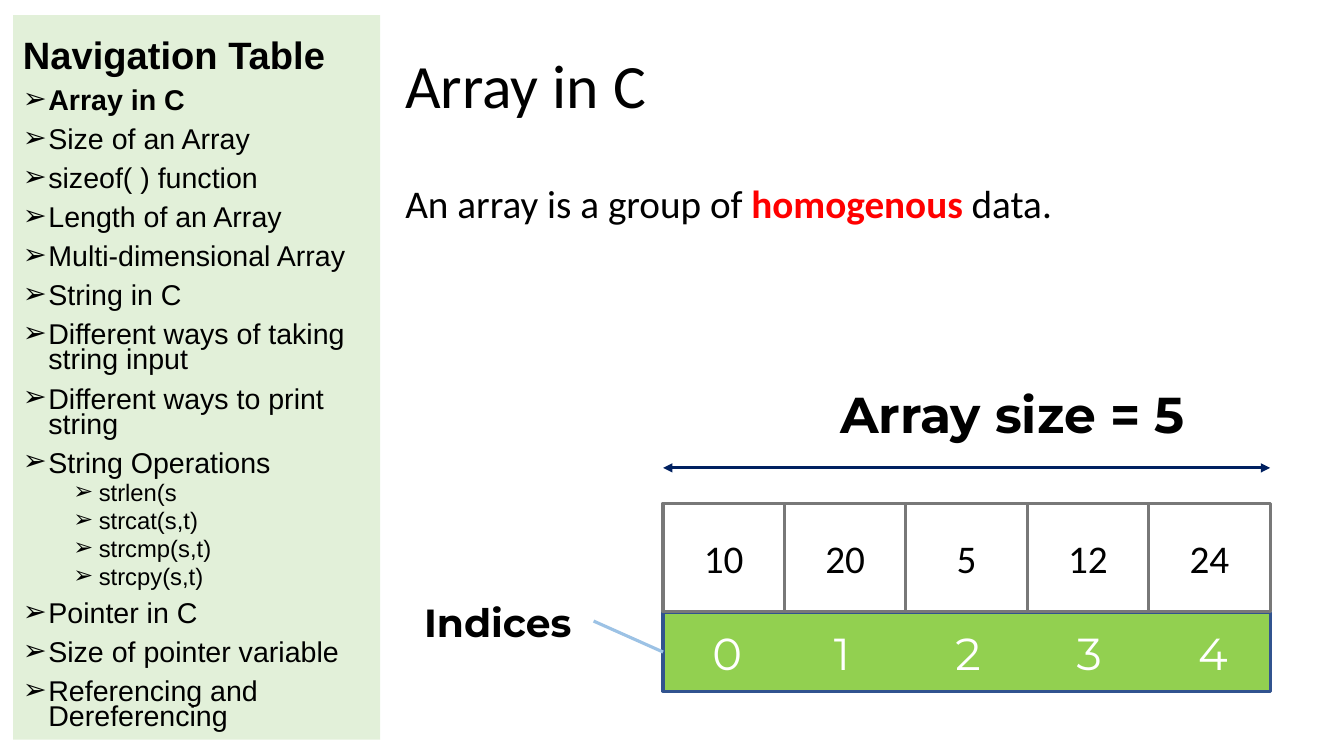
from lxml import etree
from pptx import Presentation
from pptx.dml.color import RGBColor
from pptx.enum import shapes, text
from pptx.oxml.ns import qn
from pptx.util import Cm, Pt

# Content
TITLE = "Array in C"
SENTENCE = [("An array is a group of ", {}),
            ("homogenous ", {"bold": True, "color": "red"}),
            ("data.", {})]
NAV_TITLE = "Navigation Table"
NAV_ITEMS = [  # (level, text)
    (0, "Array in C"), (0, "Size of an Array"), (0, "sizeof( ) function"),
    (0, "Length of an Array"), (0, "Multi-dimensional Array"),
    (0, "String in C"), (0, "Different ways of taking string input"),
    (0, "Different ways to print string"), (0, "String Operations"),
    (1, "strlen(s"), (1, "strcat(s,t)"), (1, "strcmp(s,t)"),
    (1, "strcpy(s,t)"), (0, "Pointer in C"), (0, "Size of pointer variable"),
    (0, "Referencing and Dereferencing"),
]
CURRENT = "Array in C"
VALUES = [10, 20, 5, 12, 24]
SIZE_LABEL = f"Array size = {len(VALUES)}"
INDEX_LABEL = "Indices"

COLORS = {"black": "000000", "white": "FFFFFF", "red": "FF0000",
          "panel": "E2F0D9", "green": "92D050", "blue": "31538F",
          "gray": "787878", "navy": "002060", "sky": "9CC2E5"}

# Text formats
BODY = {"name": "Calibri", "size": Pt(28), "bold": False, "color": "black"}
HEADING = {**BODY, "size": Pt(44)}
LABEL = {"name": "Montserrat", "size": Pt(28), "bold": True, "color": "black"}
INDEX = {**LABEL, "size": Pt(32), "bold": False, "color": "white"}
NAV_HEAD = {"name": "Arial", "size": Pt(27.2), "bold": True, "color": "black"}
NAV_LEVELS = [  # font size, space before, left indent in cm
    (20.4, 10, 0.64), (17, 5, 1.91)]
NAV_HANG = 0.64

# Layout in cm
CONTENT_X, CONTENT_W = 9.96, 22.66
ARRAY_X, ARRAY_Y, CELL_W, CELL_H = 16.71, 12.68, 3.06, 2.74
INDEX_Y, INDEX_H, DIGIT_W = 15.44, 1.98, 1.07
ARRAY_W = CELL_W * len(VALUES)


def rgb(name):
    return RGBColor.from_string(COLORS[name])


def add_run(p, words, fmt):
    r = p.add_run()
    r.text = words
    for key, value in fmt.items():
        if key == "color":
            r.font.color.rgb = rgb(value)
        else:
            setattr(r.font, key, value)


def place(sp, x, y, w, h):
    for key, value in zip(("left", "top", "width", "height"), (x, y, w, h)):
        setattr(sp, key, Cm(value))


def add_box(s, x, y, w, h, fill, line=None):
    sp = s.shapes.add_shape(shapes.MSO_SHAPE.RECTANGLE,
                            Cm(x), Cm(y), Cm(w), Cm(h))
    sp.shadow.inherit = False
    sp.fill.solid()
    sp.fill.fore_color.rgb = rgb(fill)
    if line:
        sp.line.color.rgb = rgb(line)
        sp.line.width = Pt(2.25)
    else:
        sp.line.fill.background()
    return sp


def add_label(s, x, y, w, h, words, fmt):
    tf = s.shapes.add_textbox(Cm(x), Cm(y), Cm(w), Cm(h)).text_frame
    tf.word_wrap = True
    add_run(tf.paragraphs[0], words, fmt)


def add_line(s, x1, y1, x2, y2, color, arrows=False):
    c = s.shapes.add_connector(shapes.MSO_CONNECTOR.STRAIGHT,
                               Cm(x1), Cm(y1), Cm(x2), Cm(y2))
    c.line.color.rgb = rgb(color)
    c.line.width = Pt(2.25)
    if arrows:
        ln = c.line._get_or_add_ln()
        for end in ("a:headEnd", "a:tailEnd"):
            etree.SubElement(ln, qn(end), type="triangle")
    etree.SubElement(c._element.spPr, qn("a:effectLst"))


def add_bullet(p, indent, hang):
    pPr = p._p.get_or_add_pPr()
    pPr.set("marL", str(Cm(indent)))
    pPr.set("indent", str(-Cm(hang)))
    color = etree.SubElement(pPr, qn("a:buClr"))
    etree.SubElement(color, qn("a:srgbClr"), val=COLORS["black"])
    etree.SubElement(pPr, qn("a:buFont"), typeface="Arial")
    etree.SubElement(pPr, qn("a:buChar"), char="➢")


def add_heading(s):
    sp = s.shapes.title
    place(sp, CONTENT_X, 0.38, CONTENT_W, 3.68)
    tf = sp.text_frame
    tf.auto_size = text.MSO_AUTO_SIZE.NONE
    tf.vertical_anchor = text.MSO_ANCHOR.MIDDLE
    p = tf.paragraphs[0]
    p.alignment = text.PP_ALIGN.LEFT
    p.line_spacing = 0.9
    add_run(p, TITLE, HEADING)


def add_sentence(s):
    sp = s.placeholders[1]
    place(sp, CONTENT_X, 4.52, CONTENT_W, 12.09)
    tf = sp.text_frame
    tf.auto_size = text.MSO_AUTO_SIZE.NONE
    p = tf.paragraphs[0]
    p.line_spacing = 0.9
    p.space_before = Pt(0)
    pPr = p._p.get_or_add_pPr()
    pPr.set("marL", "0")
    pPr.set("indent", "0")
    etree.SubElement(pPr, qn("a:buNone"))
    for words, extra in SENTENCE:
        add_run(p, words, {**BODY, **extra})


def add_navigation(s):
    tf = add_box(s, 0.33, 0.38, 9.25, 18.26, "panel").text_frame
    tf.word_wrap = True
    tf.vertical_anchor = text.MSO_ANCHOR.TOP
    tf.margin_top = Cm(0.71)
    p = tf.paragraphs[0]
    p.alignment = text.PP_ALIGN.LEFT
    p.line_spacing = 0.73
    add_run(p, NAV_TITLE, NAV_HEAD)
    for level, words in NAV_ITEMS:
        size, before, indent = NAV_LEVELS[level]
        p = tf.add_paragraph()
        p.level = level
        p.alignment = text.PP_ALIGN.LEFT
        p.line_spacing = 0.73
        p.space_before = Pt(before)
        add_bullet(p, indent, NAV_HANG)
        add_run(p, words, {**NAV_HEAD, "size": Pt(size),
                           "bold": words == CURRENT})


def add_array(s):
    # Index strip, then one cell and one index per value
    add_box(s, ARRAY_X, INDEX_Y, ARRAY_W, INDEX_H, "green", "blue")
    for i, value in enumerate(VALUES):
        x = ARRAY_X + i * CELL_W
        tf = add_box(s, x, ARRAY_Y, CELL_W, CELL_H, "white", "gray").text_frame
        tf.vertical_anchor = text.MSO_ANCHOR.MIDDLE
        tf.paragraphs[0].alignment = text.PP_ALIGN.CENTER
        add_run(tf.paragraphs[0], str(value), BODY)
        add_label(s, x + (CELL_W - DIGIT_W) / 2, 15.65, DIGIT_W, 1.63,
                  str(i), INDEX)
    # Labels and their lines
    add_label(s, 20.93, 9.53, 10.13, 1.8, SIZE_LABEL,
              {**LABEL, "size": Pt(36)})
    add_line(s, ARRAY_X, 11.79, ARRAY_X + ARRAY_W, 11.79, "navy", True)
    add_label(s, 10.44, 14.94, 4.52, 1.45, INDEX_LABEL, LABEL)
    add_line(s, 14.96, 15.65, ARRAY_X, INDEX_Y + INDEX_H / 2, "sky")


def main():
    prs = Presentation()
    prs.slide_width, prs.slide_height = Cm(33.87), Cm(19.05)
    s = prs.slides.add_slide(prs.slide_layouts[1])
    add_heading(s)
    add_sentence(s)
    add_array(s)
    add_navigation(s)
    prs.save("out.pptx")


if __name__ == "__main__":
    main()
